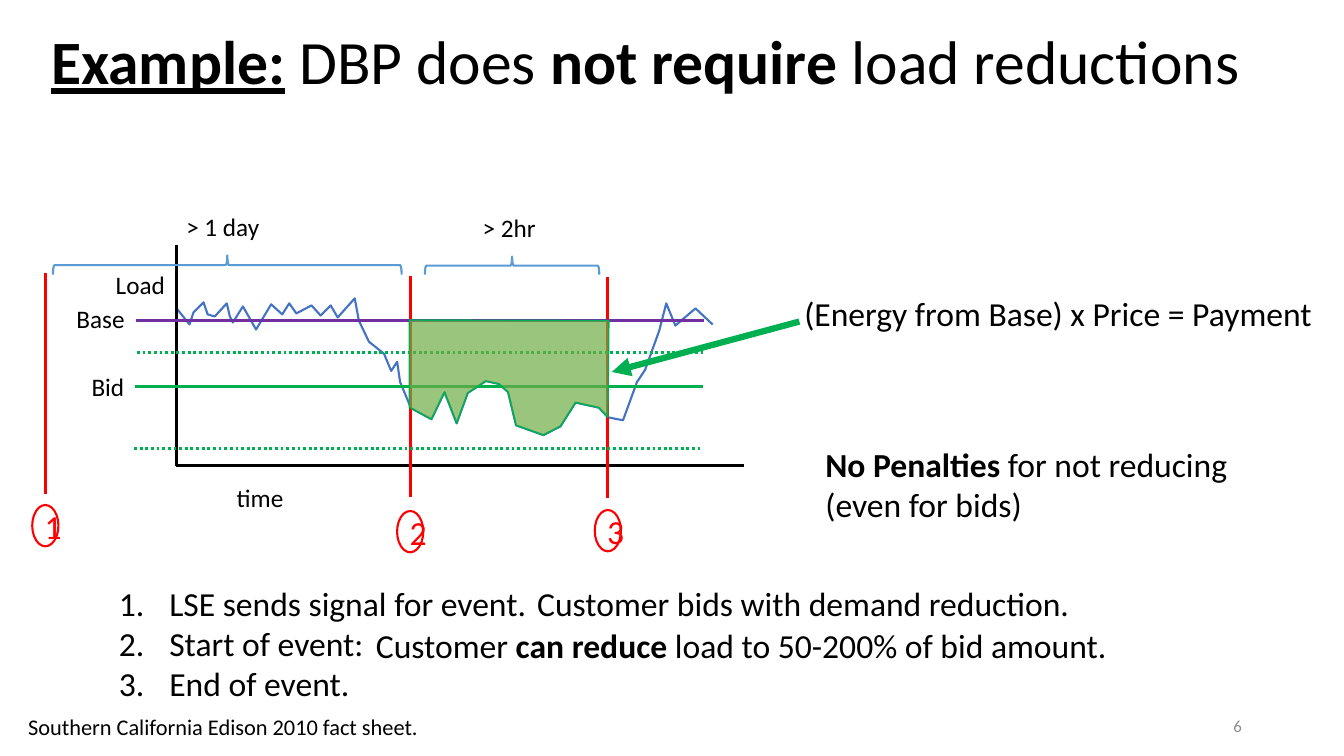
from pptx import Presentation
from pptx.dml.color import RGBColor
from pptx.enum.dml import MSO_LINE
from pptx.enum.shapes import MSO_CONNECTOR, MSO_SHAPE
from pptx.enum.text import MSO_ANCHOR, MSO_AUTO_SIZE, PP_ALIGN
from pptx.oxml.ns import qn
from pptx.oxml.xmlchemy import OxmlElement
from pptx.util import Pt

STRAIGHT = MSO_CONNECTOR.STRAIGHT
OVAL = MSO_SHAPE.OVAL
BRACE = MSO_SHAPE.LEFT_BRACE
DOTS = MSO_LINE.ROUND_DOT
MIDDLE = MSO_ANCHOR.MIDDLE
GROW = MSO_AUTO_SIZE.SHAPE_TO_FIT_TEXT
LEFT, CENTER, RIGHT = PP_ALIGN.LEFT, PP_ALIGN.CENTER, PP_ALIGN.RIGHT

FONT = "Calibri"
BLACK, RED, GREEN = "000000", "FF0000", "00B050"
PURPLE, BLUE, SKY, LEAF, GRAY = "7030A0", "4472C4", "5B9BD5", "70AD47", "8C8C8C"

BEFORE = [
    (126.7, 221), (135.4, 231.8), (138.2, 223.2), (145.4, 216), (148.3, 224.6),
    (153.4, 226.1), (162, 216.7), (164.2, 226.1), (166.3, 230.4), (173.5, 218.9),
    (182.9, 235.4), (193.7, 217.4), (201.6, 224.6), (206.6, 216.7), (211.7, 223.9),
    (222.5, 218.2), (229, 225.4), (236.2, 218.2), (241.2, 226.8), (253.4, 213.1),
    (256.3, 229), (263.5, 244.1), (274.3, 252.7), (279.4, 265), (283.7, 258.5),
    (285.8, 272.9), (293, 290.2),
]
EVENT = [
    (292.3, 290.9), (308.2, 299.5), (317.5, 280.1), (326.2, 302.4), (334.1, 280.8),
    (347, 272.2), (356.4, 274.3), (362.9, 280.1), (368.6, 303.8), (388.1, 310.8),
    (400.3, 304.6), (411.1, 287.6), (427.7, 291.2), (434.2, 298.1),
]
AFTER = [
    (445, 300.2), (455, 272.9), (460.8, 264.2), (470.9, 236.2), (475.9, 216.7),
    (482.4, 232.6), (496.8, 220.3), (509, 231.8),
]
SAVED = [(292.3, 228.6), *EVENT, (434.9, 229)]


def color(code):
    return RGBColor.from_string(code)


def stroke(shape, code, width):
    shape.line.color.rgb = color(code)
    shape.line.width = Pt(width)


def add_runs(para, runs, size, code):
    for words, style in runs:
        run = para.add_run()
        run.text = words
        font = run.font
        font.name, font.size = FONT, Pt(size)
        font.color.rgb = color(code)
        font.bold = "b" in style
        font.underline = "u" in style


def number(para):
    props = para._p.get_or_add_pPr()
    props.set("marL", str(Pt(36)))
    props.set("indent", str(-Pt(36)))
    mark = OxmlElement("a:buAutoNum")
    mark.set("type", "arabicPeriod")
    props.append(mark)


def add_text(slide, box, lines, size, code=BLACK, wrap=False, align=LEFT, listed=False):
    frame = slide.shapes.add_textbox(*map(Pt, box)).text_frame
    frame.word_wrap = wrap
    frame.auto_size = GROW
    for index, runs in enumerate(lines):
        para = frame.add_paragraph() if index else frame.paragraphs[0]
        if listed:
            number(para)
        para.alignment = align
        add_runs(para, runs, size, code)


def add_label(slide, box, words, size=18, code=BLACK, **look):
    add_text(slide, box, [[(words, "")]], size, code, **look)


def add_line(slide, start, end, code, width=2, dash=None, arrow=False):
    line = slide.shapes.add_connector(STRAIGHT, *map(Pt, start + end))
    stroke(line, code, width)
    if dash:
        line.line.dash_style = dash
    props = line._element.spPr
    if arrow:
        head = OxmlElement("a:tailEnd")
        head.set("type", "triangle")
        props.find(qn("a:ln")).append(head)
    props.append(OxmlElement("a:effectLst"))


def add_path(slide, points, code, width, fill=None):
    spots = [(Pt(x), Pt(y)) for x, y in points]
    maker = slide.shapes.build_freeform(*spots[0], scale=1.0)
    maker.add_line_segments(spots[1:], close=fill is not None)
    path = maker.convert_to_shape()
    path.shadow.inherit = False
    stroke(path, code, width)
    if fill is None:
        path.fill.background()
        return
    path.fill.solid()
    path.fill.fore_color.rgb = color(fill)
    alpha = OxmlElement("a:alpha")
    alpha.set("val", "70000")
    path._element.spPr.find(qn("a:solidFill"))[0].append(alpha)


def add_outline(slide, kind, box, code):
    shape = slide.shapes.add_shape(kind, *map(Pt, box))
    shape.shadow.inherit = False
    shape.fill.background()
    stroke(shape, code, 1.5)
    return shape


def add_brace(slide, box):
    add_outline(slide, BRACE, box, SKY).rotation = 90


def add_step(slide, x, top, ring, digit):
    add_line(slide, (x, top), (x, top + 157.5), RED)
    oval = add_outline(slide, OVAL, (x - 9.35, ring, 18.7, 29.5), RED)
    frame = oval.text_frame
    frame.vertical_anchor = MIDDLE
    para = frame.paragraphs[0]
    para.alignment = CENTER
    add_runs(para, [(digit, "")], 24, RED)


def add_level(slide, x, y, code, dash=None):
    add_line(slide, (x, y), (x + 405.4, y), code, dash=dash)


def add_chart_part(slide):
    add_path(slide, EVENT + AFTER, BLUE, 1.5)
    add_path(slide, BEFORE, BLUE, 1.5)
    add_line(slide, (126, 175), (126, 332.6), BLACK)
    add_line(slide, (126, 332.6), (531.4, 332.6), BLACK)
    add_step(slide, 32.4, 195.1, 360.7, "1")
    add_step(slide, 293, 197.3, 365, "2")
    add_step(slide, 434.2, 198, 364.3, "3")
    add_level(slide, 96.5, 275.8, GREEN)
    add_level(slide, 97.2, 229, PURPLE)
    add_brace(slide, (155.5, 64.8, 13.7, 249.1))
    add_brace(slide, (359.3, 127.4, 13, 124.6))
    add_level(slide, 95.8, 320.4, GREEN, DOTS)
    add_level(slide, 97.9, 252, GREEN, DOTS)
    add_path(slide, SAVED, GREEN, 1, LEAF)
    add_line(slide, (571, 229.7), (437, 265.7), GREEN, 4.5, arrow=True)
    add_label(slide, (75.6, 188.6, 50.4, 28.8), "Load")
    add_label(slide, (162, 341.3, 48.2, 28.8), "time")
    add_label(slide, (126, 147.6, 67.7, 28.8), "> 1 day")
    add_label(slide, (337.7, 148.3, 52.6, 28.8), "> 2hr")
    add_label(slide, (58.3, 261.4, 38.2, 28.8), "Bid")
    add_label(slide, (47.5, 213.1, 49, 28.8), "Base")


def main():
    deck = Presentation()
    deck.slide_width, deck.slide_height = Pt(960), Pt(540)
    slide = deck.slides.add_slide(deck.slide_layouts[6])
    title = [("Example:", "bu"), (" ", "b"), ("DBP does ", ""),
             ("not require", "b"), (" load reductions", "")]
    add_text(slide, (29.5, 13, 917.3, 60.5), [title], 44, wrap=True)
    add_chart_part(slide)
    add_label(slide, (567.4, 205.9, 380.2, 36), "(Energy from Base) x Price = Payment", 24)
    add_text(slide, (582.5, 313.2, 304.6, 65.5),
             [[("No Penalties ", "b"), ("for not reducing", "")],
              [("(even for bids)", "")]], 24)
    steps = ["LSE sends signal for event.", "Start of event:", "End of event."]
    add_text(slide, (77.8, 412.6, 306, 94.3), [[(step, "")] for step in steps],
             24, wrap=True, listed=True)
    add_label(slide, (376.6, 412.6, 398.2, 36), "Customer bids with demand reduction.", 24)
    add_text(slide, (261.4, 442.8, 540.7, 36),
             [[("Customer ", ""), ("can reduce ", "b"),
               ("load to 50-200% of bid amount.", "")]], 24)
    add_label(slide, (13, 506.2, 304.6, 26.6),
              "Southern California Edison 2010 fact sheet.", 16)
    add_label(slide, (678.2, 507.6, 216, 21.6), "6", 12, GRAY, wrap=True, align=RIGHT)
    deck.save("out.pptx")


if __name__ == "__main__":
    main()
